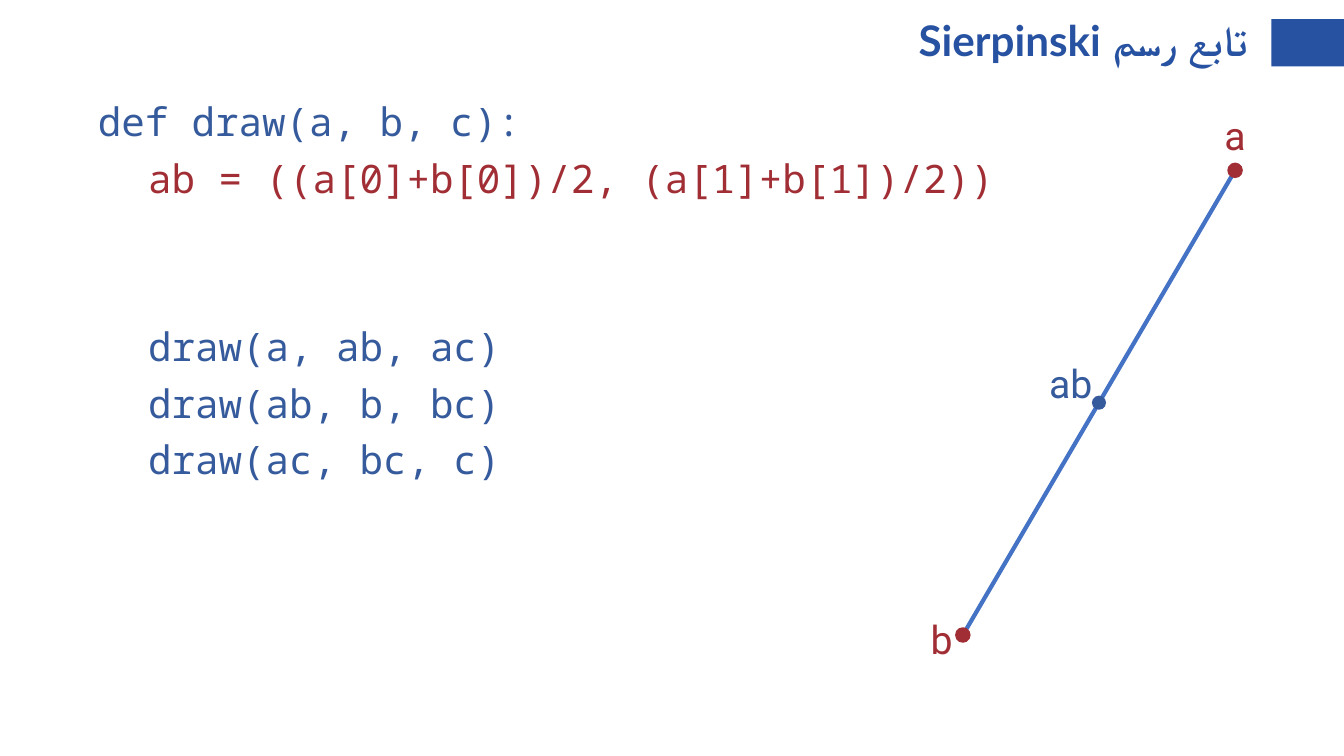
from lxml.etree import SubElement
from pptx import Presentation
from pptx.dml.color import RGBColor
from pptx.enum.shapes import MSO_CONNECTOR, MSO_SHAPE
from pptx.enum.text import MSO_ANCHOR, MSO_AUTO_SIZE, PP_ALIGN
from pptx.oxml.ns import qn
from pptx.util import Inches, Pt

COLORS = {"title": "2751A1", "blue": "365B9D", "red": "A12E34", "edge": "4472C4"}

TITLE = "تابع رسم Sierpinski"
# text, indent level, colour, space before in points
CODE = [
    ("def draw(a, b, c):", 0, "blue", 10),
    ("ab = ((a[0]+b[0])/2, (a[1]+b[1])/2))", 1, "red", 10),
    ("draw(a, ab, ac)", 1, "blue", 90.4),
    ("draw(ab, b, bc)", 1, "blue", 10),
    ("draw(ac, bc, c)", 1, "blue", 10),
]
A, B = (12.25, 1.69), (9.55, 6.3)
MIDDLE = ((A[0] + B[0]) / 2, (A[1] + B[1]) / 2)
# name, centre, offset of the label's centre, colour, outlined
POINTS = [
    ("a", A, (0, -0.32), "red", True),
    ("b", B, (-0.21, 0.07), "red", True),
    ("ab", MIDDLE, (-0.28, -0.17), "blue", False),
]
DOT = 0.14
LABEL_WIDTH, LABEL_HEIGHT = 0.73, 0.84


def color(name):
    return RGBColor.from_string(COLORS[name])


def place(shape, left, top, width, height):
    shape.left, shape.top = Inches(left), Inches(top)
    shape.width, shape.height = Inches(width), Inches(height)


def set_frame(frame, anchor):
    frame.word_wrap = True
    frame.auto_size = MSO_AUTO_SIZE.NONE
    frame.vertical_anchor = anchor
    frame.margin_left = frame.margin_right = Inches(0.05)
    frame.margin_top = frame.margin_bottom = Inches(0.05)


def style(para, font, size, color_name, align, before=10, bold=False):
    para.alignment = align
    para.line_spacing = 0.9
    para.space_before = Pt(before)
    para.font.name = font
    para.font.size = Pt(size)
    para.font.bold = bold
    para.font.color.rgb = color(color_name)


def add_solid(page, kind, left, top, width, height, color_name, outlined=False):
    shape = page.shapes.add_shape(
        kind, Inches(left), Inches(top), Inches(width), Inches(height))
    shape.shadow.inherit = False
    shape.fill.solid()
    shape.fill.fore_color.rgb = color(color_name)
    if outlined:
        shape.line.color.rgb = color(color_name)
        shape.line.width = Pt(1)
    else:
        shape.line.fill.background()


def add_title(page):
    title = page.shapes.title
    place(title, 0.92, 0.05, 11.5, 0.75)
    set_frame(title.text_frame, MSO_ANCHOR.MIDDLE)
    para = title.text_frame.paragraphs[0]
    para.text = TITLE
    style(para, "Lato", 30.1, "title", PP_ALIGN.RIGHT, before=9, bold=True)
    para._p.get_or_add_pPr().set("rtl", "1")


def add_code(page):
    body = page.placeholders[1]
    place(body, 0.92, 0.97, 11.5, 5.57)
    frame = body.text_frame
    set_frame(frame, MSO_ANCHOR.TOP)
    for index, (text, level, color_name, before) in enumerate(CODE):
        para = frame.add_paragraph() if index else frame.paragraphs[0]
        para.text = text
        para.level = level
        style(para, "Noto Sans Mono", 28, color_name, PP_ALIGN.LEFT, before)
        props = para._p.get_or_add_pPr()
        props.set("marL", str(Inches(0.5 * level)))
        props.set("indent", "0")
        bullet = SubElement(props, qn("a:buNone"))
        props.find(qn("a:defRPr")).addprevious(bullet)


def add_edge(page):
    edge = page.shapes.add_connector(
        MSO_CONNECTOR.STRAIGHT, *(Inches(value) for value in B + A))
    edge.line.color.rgb = color("edge")
    edge.line.width = Pt(3)
    SubElement(edge._element.spPr, qn("a:effectLst"))


def add_point(page, name, centre, offset, color_name, outlined):
    x, y = centre
    label = page.shapes.add_textbox(0, 0, 0, 0)
    place(label, x + offset[0] - LABEL_WIDTH / 2, y + offset[1] - LABEL_HEIGHT / 2,
          LABEL_WIDTH, LABEL_HEIGHT)
    set_frame(label.text_frame, MSO_ANCHOR.MIDDLE)
    para = label.text_frame.paragraphs[0]
    para.text = name
    style(para, "Roboto", 28, color_name, PP_ALIGN.CENTER)
    add_solid(page, MSO_SHAPE.OVAL, x - DOT / 2, y - DOT / 2, DOT, DOT,
              color_name, outlined)


def main():
    deck = Presentation()
    deck.slide_width, deck.slide_height = Inches(13.33), Inches(7.5)
    page = deck.slides.add_slide(deck.slide_layouts[1])
    add_solid(page, MSO_SHAPE.RECTANGLE, 12.61, 0.19, 0.72, 0.47, "title")
    add_title(page)
    add_code(page)
    add_edge(page)
    for point in POINTS:
        add_point(page, *point)
    deck.save("out.pptx")


if __name__ == "__main__":
    main()
